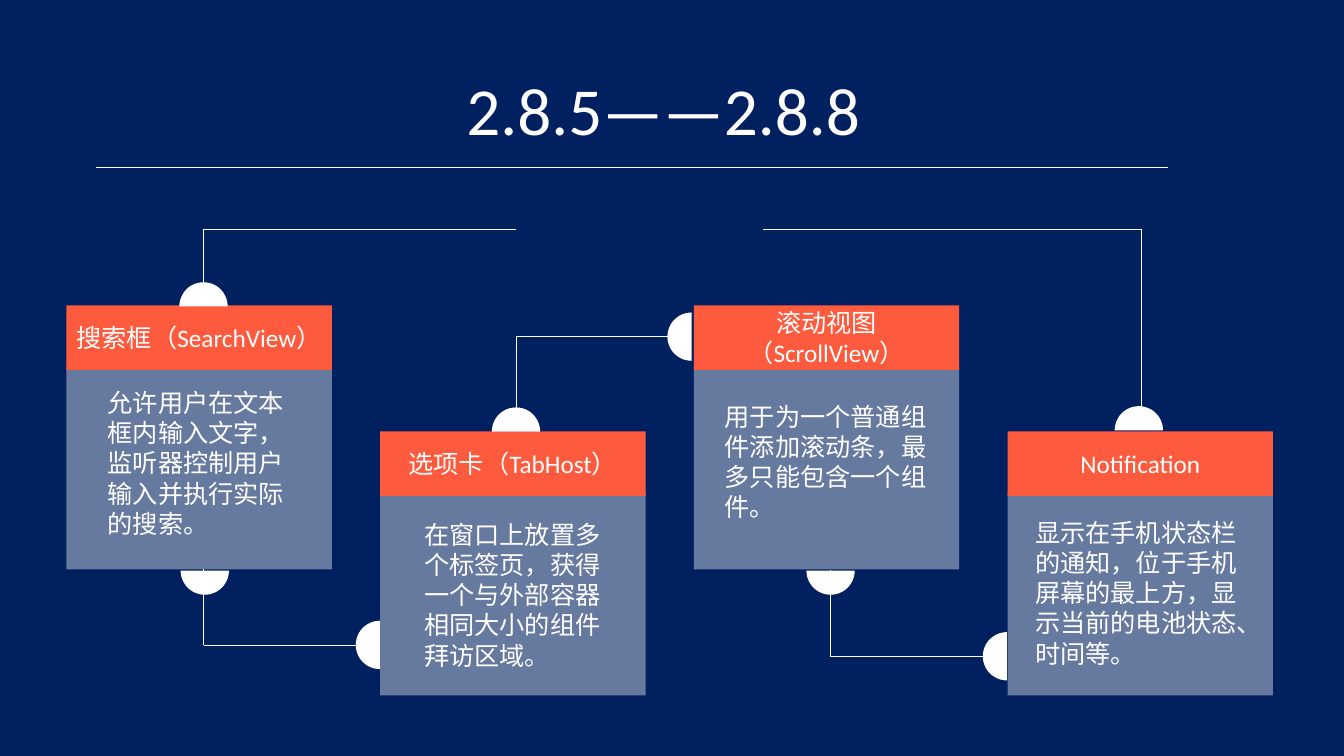
from itertools import pairwise

from lxml.etree import SubElement
from pptx import Presentation
from pptx.dml.color import RGBColor
from pptx.enum.shapes import MSO_CONNECTOR, MSO_SHAPE
from pptx.enum.text import MSO_ANCHOR, PP_ALIGN
from pptx.oxml.ns import qn
from pptx.util import Inches, Pt

COLUMNS, ROWS = 32, 18
WHITE, ORANGE, NAVY = "FFFFFF", "FE5A3E", "002060"


def color(hex_value):
    return RGBColor.from_string(hex_value)


class Board:
    """Draws on one slide; every length is in grid columns and rows."""

    font = {"name": "Calibri", "size": Pt(18)}

    def __init__(self, deck):
        self.column = deck.slide_width / COLUMNS
        self.row = deck.slide_height / ROWS
        self.slide = deck.slides.add_slide(deck.slide_layouts[6])
        background = self.slide.background.fill
        background.solid()
        background.fore_color.rgb = color(NAVY)

    def scale(self, *lengths):
        """Turn alternating columns and rows into slide units."""
        units = (self.column, self.row)
        return [round(length * units[i % 2]) for i, length in enumerate(lengths)]

    def add_words(self, frame, words, align=PP_ALIGN.LEFT, **changes):
        paragraph = frame.paragraphs[0]
        paragraph.alignment = align
        run = paragraph.add_run()
        run.text = words
        for key, value in {**self.font, **changes}.items():
            setattr(run.font, key, value)
        run.font.color.rgb = color(WHITE)

    def shape(self, kind, box, fill, opacity=100):
        shape = self.slide.shapes.add_shape(kind, *self.scale(*box))
        shape.shadow.inherit = False
        shape.line.fill.background()
        shape.fill.solid()
        shape.fill.fore_color.rgb = color(fill)
        if opacity < 100:
            tint = shape._element.spPr.find(qn("a:solidFill"))[0]
            SubElement(tint, qn("a:alpha"), val=str(opacity * 1000))
        return shape

    def heading(self, box, words):
        frame = self.shape(MSO_SHAPE.RECTANGLE, box, ORANGE).text_frame
        frame.word_wrap = True
        frame.vertical_anchor = MSO_ANCHOR.MIDDLE
        self.add_words(frame, words, PP_ALIGN.CENTER)

    def text(self, box, words, wrap=True, **changes):
        frame = self.slide.shapes.add_textbox(*self.scale(*box)).text_frame
        frame.word_wrap = wrap
        self.add_words(frame, words, **changes)

    def route(self, *points):
        """Join the points with thin straight lines."""
        for start, end in pairwise(points):
            line = self.slide.shapes.add_connector(
                MSO_CONNECTOR.STRAIGHT, *self.scale(*start, *end))
            line.line.color.rgb = color(WHITE)
            line.line.width = Pt(0.5)
            SubElement(line._element.spPr, qn("a:effectLst"))

    def knob(self, left, top, rotation):
        """Draw a half disc; unrotated, it bulges to the left."""
        half = self.shape(MSO_SHAPE.CHORD, (left, top, 1.15, 1.15), WHITE)
        half.adjustments[0], half.adjustments[1] = 54, 162
        half.rotation = rotation


CARD_LEFT, CARD_TOP, CARD_PITCH, CARD_DROP = 1.58, 7.27, 7.47, 3
CARD_WIDTH, HEADING_HEIGHT, PANEL_OFFSET, PANEL_HEIGHT = 6.32, 1.54, 1.44, 4.85

WIDGETS = [
    ("搜索框（SearchView）", (2.33, 9.1, 4.92, 3.89),
     "允许用户在文本框内输入文字，监听器控制用户输入并执行实际的搜索。"),
    ("选项卡（TabHost）", (9.86, 12.24, 4.92, 3.89),
     "在窗口上放置多个标签页，获得一个与外部容器相同大小的组件拜访区域。"),
    ("滚动视图（ScrollView）", (17.02, 9.43, 5.3, 3.14),
     "用于为一个普通组件添加滚动条，最多只能包含一个组件。"),
    ("Notification", (24.41, 12.19, 5.3, 3.89),
     "显示在手机状态栏的通知，位于手机屏幕的最上方，显示当前的电池状态、时间等。"),
]
ROUTES = [
    [(12.29, 5.45), (4.85, 5.45), (4.85, 7.25)],
    [(4.85, 13.54), (4.85, 15.36), (8.47, 15.36)],
    [(15.98, 8.02), (12.29, 8.02), (12.29, 10.27)],
    [(23.4, 15.62), (19.76, 15.62), (19.76, 13.58)],
    [(18.17, 5.45), (27.17, 5.45), (27.17, 9.72)],
]
KNOBS = {
    90: [(4.27, 6.72), (11.71, 9.7), (26.54, 9.67)],
    0: [(15.89, 7.44), (8.47, 14.78), (23.4, 15.05)],
    270: [(4.3, 13.01), (19.2, 13.01)],
}


def main():
    deck = Presentation()
    deck.slide_width, deck.slide_height = Inches(13.33), Inches(7.5)
    board = Board(deck)

    board.route((2.28, 3.98), (27.82, 3.98))
    for index, (name, _, _) in enumerate(WIDGETS):
        left = CARD_LEFT + index * CARD_PITCH
        top = CARD_TOP + index % 2 * CARD_DROP
        panel = (left, top + PANEL_OFFSET, CARD_WIDTH, PANEL_HEIGHT)
        board.shape(MSO_SHAPE.RECTANGLE, panel, WHITE, opacity=40)
        board.heading((left, top, CARD_WIDTH, HEADING_HEIGHT), name)
    for points in ROUTES:
        board.route(*points)
    for rotation, places in KNOBS.items():
        for left, top in places:
            board.knob(left, top, rotation)
    for _, box, description in WIDGETS:
        board.text(box, description)
    board.text((10.87, 1.51, 9.96, 2.18), "2.8.5——2.8.8", wrap=False, size=Pt(48))

    deck.save("out.pptx")


if __name__ == "__main__":
    main()
